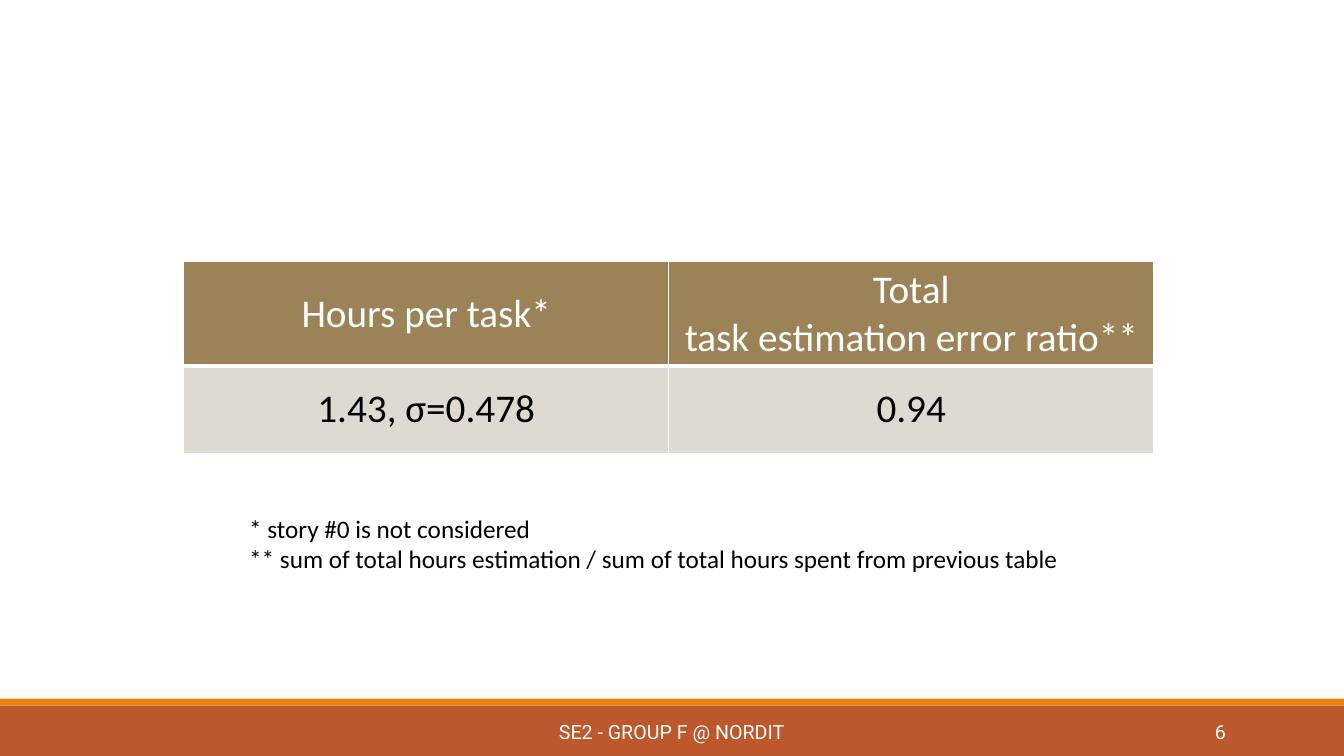
from dataclasses import dataclass

from lxml import etree
from pptx import Presentation
from pptx.dml.color import RGBColor
from pptx.enum import shapes, text
from pptx.oxml import ns
from pptx.util import Pt


@dataclass(frozen=True)
class Theme:
    white: str = "FFFFFF"
    ink: str = "000000"
    rust: str = "BD582C"
    orange: str = "E48312"
    header: str = "9B8357"
    body: str = "DED9D1"
    font: str = "Calibri"
    footer_font: str = "Roboto"
    table_size: int = 28
    note_size: int = 18
    footer_size: int = 14


THEME = Theme()
WIDTH, HEIGHT = 960, 540
NBSP = chr(160)
RATIO_TITLE = "Total " + "task estimation error ratio**".replace(" ", NBSP)
METRICS = [["Hours per task*", RATIO_TITLE], ["1.43, σ=0.478", "0.94"]]
NOTES = [
    "* story #0 is not considered",
    "** sum of total hours estimation / sum of total hours spent from previous table",
]


def style(paragraph, font, size, color, align):
    paragraph.alignment = align
    paragraph.font.name = font
    paragraph.font.size = Pt(size)
    paragraph.font.bold = False
    paragraph.font.color.rgb = RGBColor.from_string(color)


def add_band(slide, left, top, width, height, color):
    band = slide.shapes.add_shape(
        shapes.MSO_SHAPE.RECTANGLE, Pt(left), Pt(top), Pt(width), Pt(height))
    band.shadow.inherit = False
    band.fill.solid()
    band.fill.fore_color.rgb = RGBColor.from_string(color)
    band.line.fill.background()


def add_text(slide, left, top, width, height, lines, font, size, color, align,
             anchor=text.MSO_ANCHOR.TOP):
    frame = slide.shapes.add_textbox(
        Pt(left), Pt(top), Pt(width), Pt(height)).text_frame
    frame.word_wrap = True
    frame.vertical_anchor = anchor
    frame.text = "\n".join(lines)
    for paragraph in frame.paragraphs:
        style(paragraph, font, size, color, align)


def add_footer(slide, left, top, width, height):
    stripe = 5
    add_band(slide, left, top + stripe, width, height - stripe, THEME.rust)
    add_band(slide, left, top, width, stripe, THEME.orange)
    for label, offset, label_width, align in (
            ("SE2 - GROUP F @ NORDIT", 290.2, 379.4, text.PP_ALIGN.CENTER),
            ("6", 779.8, 103, text.PP_ALIGN.RIGHT)):
        add_text(slide, left + offset, top + 9.3, label_width, 28.8, [label],
                 THEME.footer_font, THEME.footer_size, THEME.white, align,
                 text.MSO_ANCHOR.MIDDLE)


def set_borders(cell, widths):
    """Draw white cell borders; widths maps an edge letter to points."""
    properties = cell._tc.get_or_add_tcPr()
    for index, (edge, width) in enumerate(widths.items()):
        line = etree.Element(ns.qn(f"a:ln{edge}"), w=str(Pt(width)))
        fill = etree.SubElement(line, ns.qn("a:solidFill"))
        etree.SubElement(fill, ns.qn("a:srgbClr"), val=THEME.white)
        properties.insert(index, line)


def add_metrics(slide, left, top, width, height):
    table = slide.shapes.add_table(
        len(METRICS), len(METRICS[0]),
        Pt(left), Pt(top), Pt(width), Pt(height)).table
    looks = [(THEME.header, THEME.white, {"L": 1, "R": 1, "T": 1, "B": 3}),
             (THEME.body, THEME.ink, {"L": 1, "R": 1, "T": 3, "B": 1})]
    for row, values, (fill, color, borders) in zip(table.rows, METRICS, looks):
        for cell, value in zip(row.cells, values):
            cell.text = value
            cell.vertical_anchor = text.MSO_ANCHOR.MIDDLE
            cell.fill.solid()
            cell.fill.fore_color.rgb = RGBColor.from_string(fill)
            style(cell.text_frame.paragraphs[0], THEME.font, THEME.table_size,
                  color, text.PP_ALIGN.CENTER)
            set_borders(cell, borders)


def main():
    deck = Presentation()
    deck.slide_width, deck.slide_height = Pt(WIDTH), Pt(HEIGHT)
    slide = deck.slides.add_slide(deck.slide_layouts[6])
    add_footer(slide, 0, 499, WIDTH, HEIGHT - 499)
    add_metrics(slide, 131.2, 186.8, 693, 125)
    add_text(slide, 170.9, 363, 593.3, 51, NOTES, THEME.font,
             THEME.note_size, THEME.ink, text.PP_ALIGN.LEFT)
    deck.save("out.pptx")


if __name__ == "__main__":
    main()
